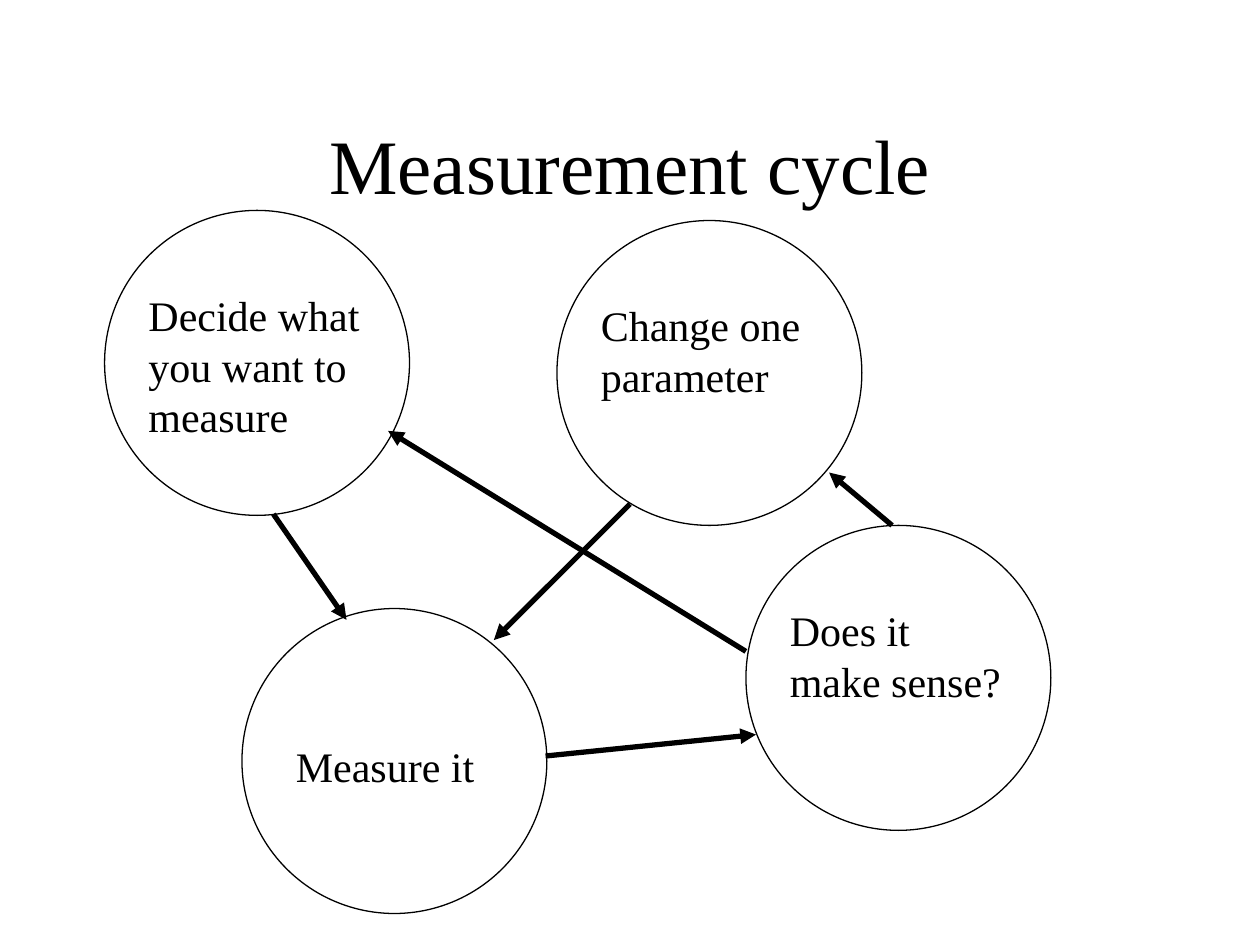
import pptx
import pptx.dml.color
import pptx.enum.shapes
import pptx.enum.text
import pptx.oxml.ns
import pptx.util
from lxml import etree

Inches = pptx.util.Inches
BLACK = pptx.dml.color.RGBColor(0, 0, 0)
ALIGN = pptx.enum.text.PP_ALIGN
ANCHOR = pptx.enum.text.MSO_ANCHOR
TITLE_FORMAT = {"name": "Times New Roman", "size": pptx.util.Pt(44)}
STEP_FORMAT = {"name": "Times New Roman", "size": pptx.util.Pt(24)}

DIAMETER = 2.42
LABEL_WIDTH = 1.92

STEPS = [
    ("Decide what you want to measure", (0.83, 1.67), (0.25, 0.58), 1.3),
    ("Measure it", (1.92, 4.83), (0.33, 1), 0.5),
    ("Does it make sense?", (5.92, 4.17), (0.25, 0.58), 0.9),
    ("Change one parameter", (4.42, 1.75), (0.25, 0.58), 0.9),
]
ARROWS = [
    ((4.33, 6), (6, 5.83)),
    ((5.92, 5.17), (3.08, 3.42)),
    ((7.08, 4.17), (6.58, 3.75)),
    ((2.17, 4.08), (2.75, 4.92)),
    ((5, 4), (3.92, 5.08)),
]


def add_text(slide, box, wording, font_format, alignment, anchor):
    frame = slide.shapes.add_textbox(*map(Inches, box)).text_frame
    frame.word_wrap = True
    frame.vertical_anchor = anchor
    paragraph = frame.paragraphs[0]
    paragraph.alignment = alignment
    run = paragraph.add_run()
    run.text = wording
    for attribute, value in font_format.items():
        setattr(run.font, attribute, value)
    run.font.color.rgb = BLACK


def add_title(slide, box):
    add_text(slide, box, "Measurement cycle", TITLE_FORMAT, ALIGN.CENTER, ANCHOR.MIDDLE)


def add_step(slide, box, wording, label_offset, label_height):
    circle = slide.shapes.add_shape(
        pptx.enum.shapes.MSO_SHAPE.OVAL, *map(Inches, box)
    )
    circle.shadow.inherit = False
    circle.fill.background()
    circle.line.color.rgb = BLACK
    circle.line.width = pptx.util.Pt(0.75)
    left, top = box[0] + label_offset[0], box[1] + label_offset[1]
    label_box = (left, top, LABEL_WIDTH, label_height)
    add_text(slide, label_box, wording, STEP_FORMAT, ALIGN.LEFT, ANCHOR.TOP)


def add_arrow(slide, start, end):
    arrow = slide.shapes.add_connector(
        pptx.enum.shapes.MSO_CONNECTOR.STRAIGHT, *map(Inches, start + end)
    )
    arrow.line.color.rgb = BLACK
    arrow.line.width = pptx.util.Pt(3)
    qn = pptx.oxml.ns.qn
    etree.SubElement(arrow.line._get_or_add_ln(), qn("a:tailEnd"), type="triangle")
    etree.SubElement(arrow._element.spPr, qn("a:effectLst"))


def add_cycle(slide, box):
    left, top = box
    for wording, (x, y), label_offset, label_height in STEPS:
        circle_box = (left + x, top + y, DIAMETER, DIAMETER)
        add_step(slide, circle_box, wording, label_offset, label_height)
    for start, end in ARROWS:
        add_arrow(
            slide,
            (left + start[0], top + start[1]),
            (left + end[0], top + end[1]),
        )


def main():
    presentation = pptx.Presentation()
    presentation.slide_width = Inches(10)
    presentation.slide_height = Inches(7.5)
    slide = presentation.slides.add_slide(presentation.slide_layouts[6])
    add_title(slide, (0.75, 0.67, 8.5, 1.25))
    add_cycle(slide, (0, 0))
    presentation.save("out.pptx")


if __name__ == "__main__":
    main()
